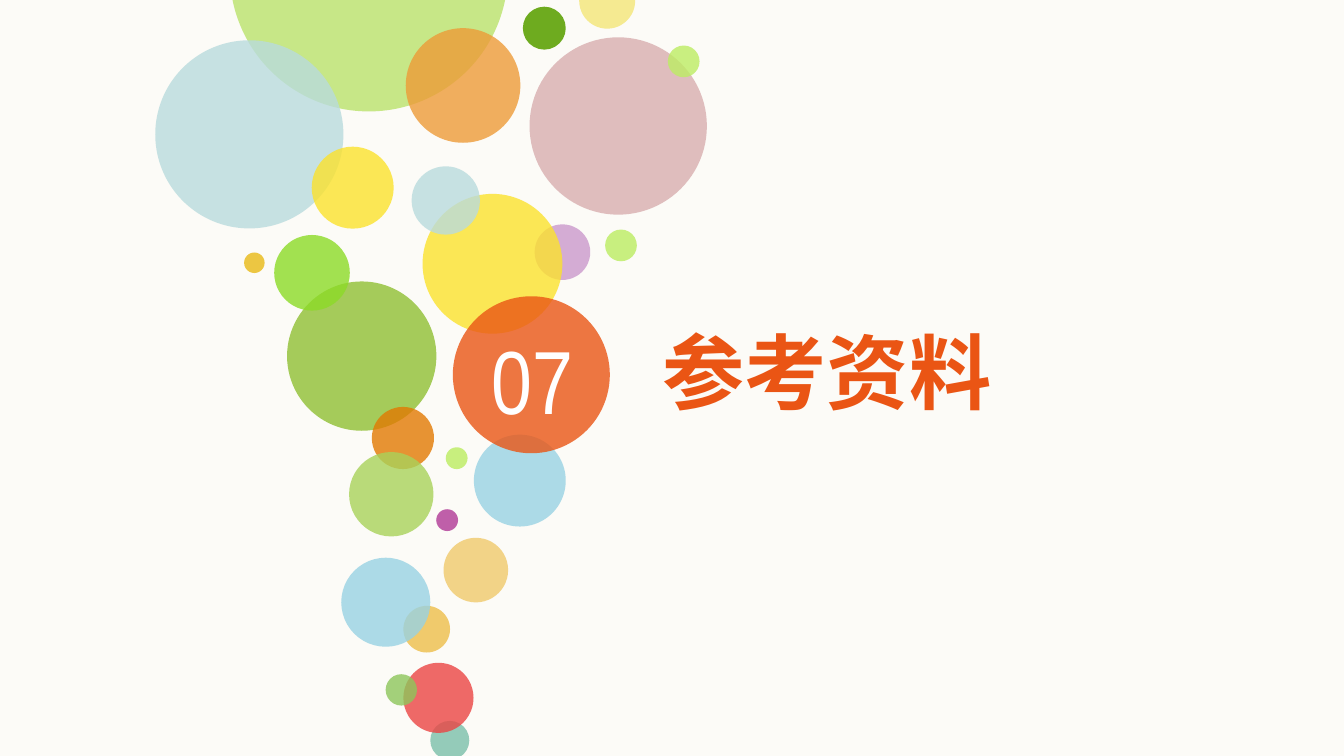
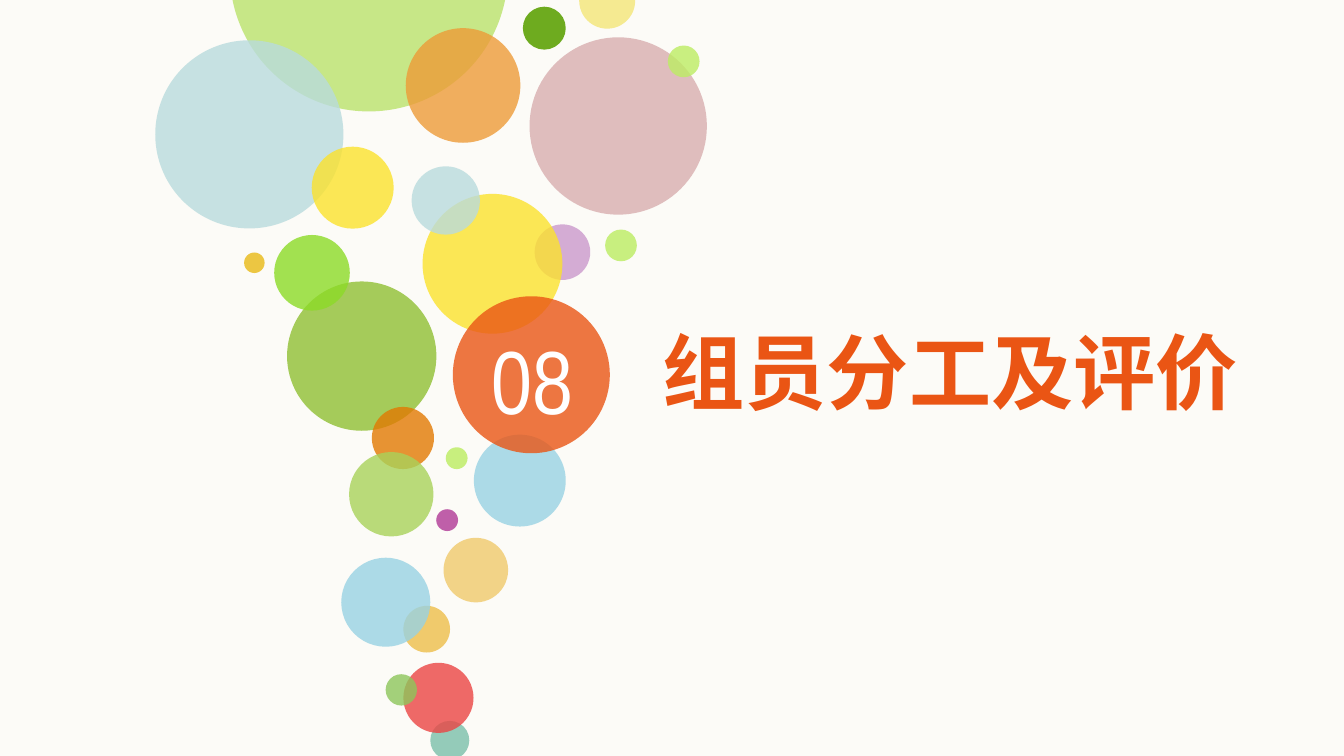
"""Two section divider slides with a column of bubbles."""
from lxml import etree
from pptx import Presentation
from pptx import util as u
from pptx.dml import color
from pptx.enum import shapes, text
from pptx.oxml import ns

Pt = u.Pt
PAPER, ACCENT, WHITE = "FCFBF7", "EA5514", "FFFFFF"
HEAD, DIGIT = "Noto Sans CJK SC", "Arial Narrow"

# left, top, diameter, colour, opacity in percent; back to front
BUBBLES = [
    (123.1, -89.3, 149, "BAE36B", 80),
    (280.1, 3.6, 23, "6EAB1F", 100),
    (83.2, 21.6, 100.8, "B9DBDD", 80),
    (217.4, 15.1, 61.4, "ED9B38", 80),
    (310.3, -14.6, 30, "F5EA91", 100),
    (283.7, 20, 95, "D8AEAF", 80),
    (153.8, 150.8, 80, "A5CB5A", 100),
    (357.8, 24.4, 17, "BDED63", 80),
    (324.2, 123, 17, "BCED61", 80),
    (286.4, 120.2, 29.8, "CB99CC", 80),
    (226.4, 103.9, 74.9, "FBE22D", 80),
    (167, 78.6, 43.9, "FBE22D", 80),
    (146.9, 125.9, 40.5, "8CDB27", 80),
    (130.8, 135.3, 11, "E9B915", 80),
    (238.8, 239.6, 11.7, "BCED60", 80),
    (233.7, 272.8, 11.7, "B03896", 80),
    (237.6, 288.1, 34.6, "F0CA6C", 80),
    (216.1, 324.6, 25, "F0CA6C", 100),
    (230.5, 386.2, 20.9, "7BBFAA", 80),
    (216.1, 355.1, 37.6, "EB4544", 80),
    (206.6, 361.2, 16.8, "8DC65B", 80),
    (182.8, 298.8, 47.7, "98D2E3", 80),
    (220.5, 89.1, 36.6, "B9DBDD", 80),
    (253.9, 232.9, 49.2, "98D2E3", 80),
    (199.2, 218, 33.3, "E27902", 80),
    (187, 242.2, 45.2, "A9D25A", 80),
    (242.6, 158.7, 84.1, ACCENT, 80),
]


def paint(form, code):
    """Set a solid colour on anything that has a fill."""
    form.fill.solid()
    form.fill.fore_color.rgb = color.RGBColor.from_string(code)


class Deck:
    """Holds the style and the current slide."""

    def __init__(self):
        """Set the page size and the shared background."""
        self.prs = Presentation()
        self.prs.slide_width, self.prs.slide_height = Pt(720), Pt(405)
        paint(self.prs.slide_master.background, PAPER)
        self.slide = None

    def page(self):
        """Start a new slide that has a title only."""
        self.slide = self.prs.slides.add_slide(self.prs.slide_layouts[5])

    def bubble(self, left, top, size, code, alpha):
        """Draw one circle."""
        dot = self.slide.shapes.add_shape(
            shapes.MSO_SHAPE.OVAL, Pt(left), Pt(top), Pt(size), Pt(size))
        dot.shadow.inherit = False
        dot.line.fill.background()
        paint(dot, code)
        if alpha < 100:
            tone = dot.element.spPr.find(ns.qn("a:solidFill"))[0]
            etree.SubElement(tone, ns.qn("a:alpha"), val=str(alpha * 1000))

    def label(self, box, words, size, face, code, align, bold=False):
        """Fill a text shape with one styled line."""
        frame = box.text_frame
        frame.text = words
        frame.word_wrap = True
        frame.auto_size = text.MSO_AUTO_SIZE.SHAPE_TO_FIT_TEXT
        frame.vertical_anchor = text.MSO_ANCHOR.TOP
        frame.margin_left = frame.margin_right = 0
        frame.margin_top = frame.margin_bottom = 0
        para = frame.paragraphs[0]
        para.alignment = align
        font = para.font
        font.size, font.name, font.bold = Pt(size), face, bold
        paint(font, code)
        latin = next(box.element.iter(ns.qn("a:latin")))
        latin.addnext(etree.Element(ns.qn("a:ea"), typeface=HEAD))

    def number(self, words):
        """Put the section number on the front bubble."""
        box = self.slide.shapes.add_textbox(
            Pt(256.3), Pt(174.2), Pt(57.6), Pt(58.3))
        self.label(box, words, 48, DIGIT, WHITE, text.PP_ALIGN.CENTER)

    def title(self, words):
        """Set the section title, as wide as its characters need."""
        box, size = self.slide.shapes.title, 44
        box.left, box.top = Pt(355), Pt(172.1)
        box.width, box.height = Pt(size * len(words) + 16), Pt(53.3)
        self.label(box, words, size, HEAD, ACCENT, text.PP_ALIGN.LEFT, True)

    def section(self, num, words):
        """Build one divider slide."""
        self.page()
        for spot in BUBBLES:
            self.bubble(*spot)
        self.number(num)
        self.title(words)


deck = Deck()
for num, words in (("07", "参考资料"), ("08", "组员分工及评价")):
    deck.section(num, words)
deck.prs.save("out.pptx")
